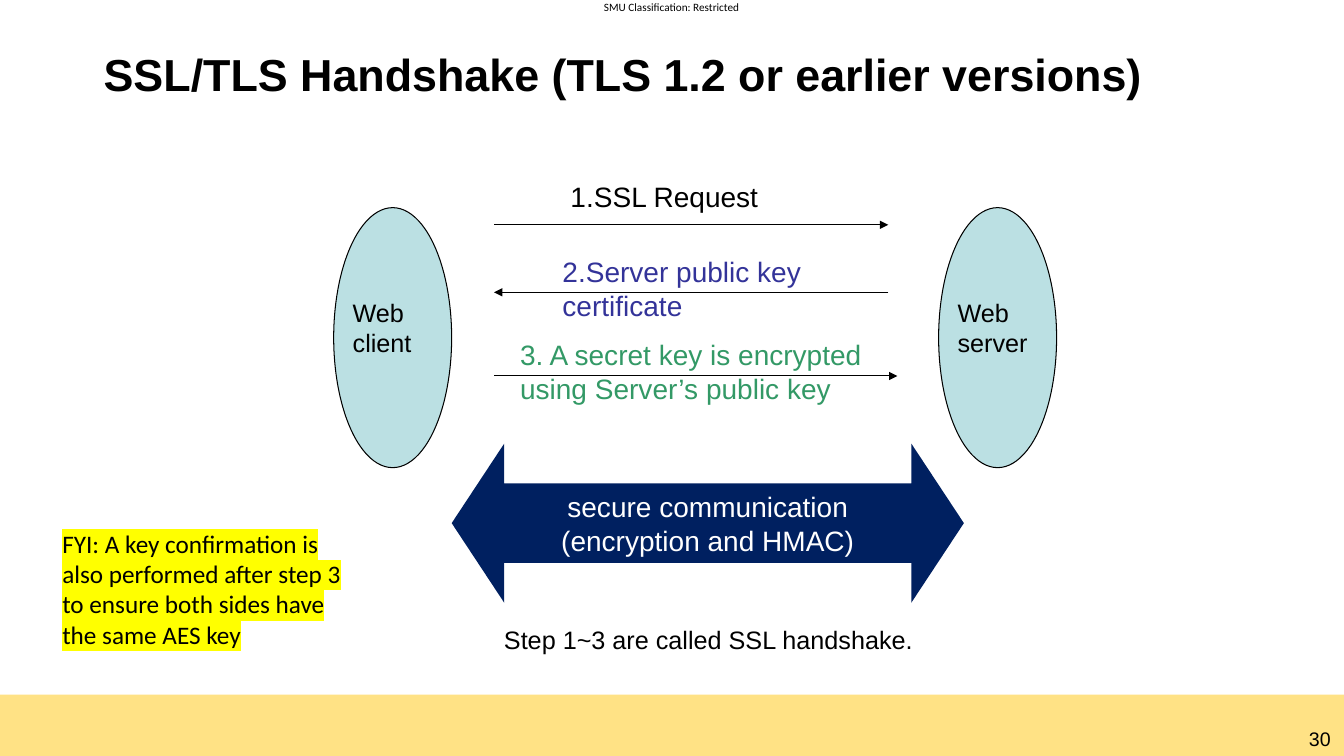
from dataclasses import dataclass

import pptx
import pptx.dml.color
import pptx.enum.shapes
import pptx.enum.text
import pptx.oxml
import pptx.oxml.ns
import pptx.util
from lxml import etree

Inches = pptx.util.Inches
Align = pptx.enum.text.PP_ALIGN
Anchor = pptx.enum.text.MSO_ANCHOR
Shape = pptx.enum.shapes.MSO_SHAPE


@dataclass(frozen=True)
class Theme:
    """Colours, fonts and type sizes of the slide."""
    ink: str = "000000"
    paper: str = "FFFFFF"
    band: str = "FFE285"
    endpoint: str = "BBE0E3"
    certificate: str = "333399"
    secret: str = "339966"
    channel: str = "002060"
    marker: str = "FFFF00"
    main_font: str = "Arial"
    note_font: str = "Calibri"
    title: int = 32
    message: int = 20
    body: int = 18
    number: int = 14
    label: int = 8
    outline: float = 0.75


THEME = Theme()


@dataclass(frozen=True)
class Box:
    """A rectangle in inches."""
    left: float
    top: float
    width: float
    height: float

    def inner(self, left, top, width, height):
        """Return a box offset from this one."""
        return Box(self.left + left, self.top + top, width, height)

    def lengths(self):
        """Return the four sides as lengths."""
        return [Inches(side) for side in (self.left, self.top, self.width, self.height)]


def rgb(colour):
    """Turn a hex string into a colour."""
    return pptx.dml.color.RGBColor.from_string(colour)


def style(paragraph, size, colour=THEME.ink, font=THEME.main_font, bold=False, align=None):
    """Set the type of one paragraph."""
    paragraph.alignment = align
    paragraph.font.size = pptx.util.Pt(size)
    paragraph.font.name = font
    paragraph.font.bold = bold
    paragraph.font.color.rgb = rgb(colour)


def add_text(slide, box, text, size, wrap=True, **type_style):
    """Add a one-paragraph text box and return its frame."""
    frame = slide.shapes.add_textbox(*box.lengths()).text_frame
    frame.word_wrap = wrap
    frame.text = text
    style(frame.paragraphs[0], size, **type_style)
    return frame


def add_shape(slide, kind, box, fill, line=None):
    """Add a flat filled shape."""
    shape = slide.shapes.add_shape(kind, *box.lengths())
    shape.shadow.inherit = False
    shape.fill.solid()
    shape.fill.fore_color.rgb = rgb(fill)
    if line:
        shape.line.color.rgb = rgb(line)
        shape.line.width = pptx.util.Pt(THEME.outline)
    else:
        shape.line.fill.background()
    return shape


def add_arrow(slide, start, end, y):
    """Add a horizontal arrow that points at its end."""
    arrow = slide.shapes.add_connector(
        pptx.enum.shapes.MSO_CONNECTOR.STRAIGHT,
        Inches(start), Inches(y), Inches(end), Inches(y))
    arrow.line.color.rgb = rgb(THEME.ink)
    arrow.line.width = pptx.util.Pt(THEME.outline)
    qn = pptx.oxml.ns.qn
    etree.SubElement(arrow.line._get_or_add_ln(), qn("a:tailEnd"), type="triangle")
    etree.SubElement(arrow._element.spPr, qn("a:effectLst"))


def header(slide, box):
    """Place the classification label and the title."""
    label = add_text(slide, box.inner(5.99, 0, 1.37, 0.13),
                     "SMU Classification: Restricted", THEME.label,
                     wrap=False, font=THEME.note_font)
    label.margin_left = label.margin_right = label.margin_top = label.margin_bottom = 0
    title = add_text(slide, box.inner(0.93, 0.44, 10.93, 0.64),
                     "SSL/TLS Handshake (TLS 1.2 or earlier versions)", THEME.title, bold=True)
    title.vertical_anchor = Anchor.MIDDLE
    title.paragraphs[0].line_spacing = 0.9


def footer(slide, box):
    """Place the coloured band and the page number."""
    add_shape(slide, Shape.RECTANGLE, box, THEME.band)
    add_text(slide, box.inner(box.width - 0.48, 0.27, 0.48, 0.34), "30",
             THEME.number, align=Align.CENTER)


def endpoints(slide, box):
    """Place the client and the server at the two sides of the box."""
    width = 1.17
    for left, text, text_width in ((box.width - width, "Web server", width),
                                   (0, "Web\vclient", 1.67)):
        add_shape(slide, Shape.OVAL, box.inner(left, 0, width, box.height),
                  THEME.endpoint, THEME.ink)
        add_text(slide, box.inner(left + 0.09, 0.84, text_width, 0.71), text, THEME.body)


def messages(slide, box):
    """Place the three handshake messages, each with its arrow."""
    right = box.left + box.width
    steps = (
        (box.left, right, 0.5, (0.66, 0, 2.92, 0.43), "1.SSL Request", THEME.ink),
        (right, box.left, 1.17, (0.58, 0.75, 2.92, 0.77),
         "2.Server public key certificate", THEME.certificate),
        (box.left, right + 0.09, 2, (0.16, 1.57, 3.92, 0.77),
         "3. A secret key is encrypted using Server’s public key", THEME.secret),
    )
    for start, end, y, place, text, colour in steps:
        add_arrow(slide, start, end, box.top + y)
        add_text(slide, box.inner(*place), text, THEME.message, colour=colour)


def secure_channel(slide, box):
    """Place the double arrow and the caption below it."""
    channel = add_shape(slide, Shape.LEFT_RIGHT_ARROW, box, THEME.channel)
    channel.adjustments[0] = 0.5
    channel.adjustments[1] = 0.33
    frame = channel.text_frame
    frame.word_wrap = True
    frame.vertical_anchor = Anchor.MIDDLE
    frame.text = "secure communication\n(encryption and HMAC)"
    for paragraph in frame.paragraphs:
        style(paragraph, THEME.message, THEME.paper, align=Align.CENTER)
    add_text(slide, box.inner(0.42, box.height + 0.16, 4.29, 0.4),
             "Step 1~3 are called SSL handshake.", THEME.body, wrap=False)


def key_note(slide, box):
    """Place the highlighted note on key confirmation."""
    note = add_text(slide, box,
                    "FYI: A key confirmation is also performed after step 3 "
                    "to ensure both sides have the same AES key",
                    THEME.body, font=THEME.note_font)
    qn = pptx.oxml.ns.qn
    properties = note.paragraphs[0].runs[0]._r.get_or_add_rPr()
    highlight = etree.SubElement(properties, qn("a:highlight"))
    etree.SubElement(highlight, qn("a:srgbClr"), val=THEME.marker)


def main():
    """Build the slide and save it."""
    deck = pptx.Presentation()
    deck.slide_width, deck.slide_height = Inches(13.33), Inches(7.5)
    slide = deck.slides.add_slide(deck.slide_layouts[6])
    footer(slide, Box(0, 6.89, 13.33, 0.61))
    header(slide, Box(0, 0, 13.33, 1.08))
    endpoints(slide, Box(3.31, 2.06, 7.17, 2.58))
    messages(slide, Box(4.9, 1.73, 3.91, 2.34))
    secure_channel(slide, Box(4.48, 4.4, 5.08, 1.58))
    key_note(slide, Box(0.52, 5.19, 3.14, 1.31))
    deck.save("out.pptx")


if __name__ == "__main__":
    main()
